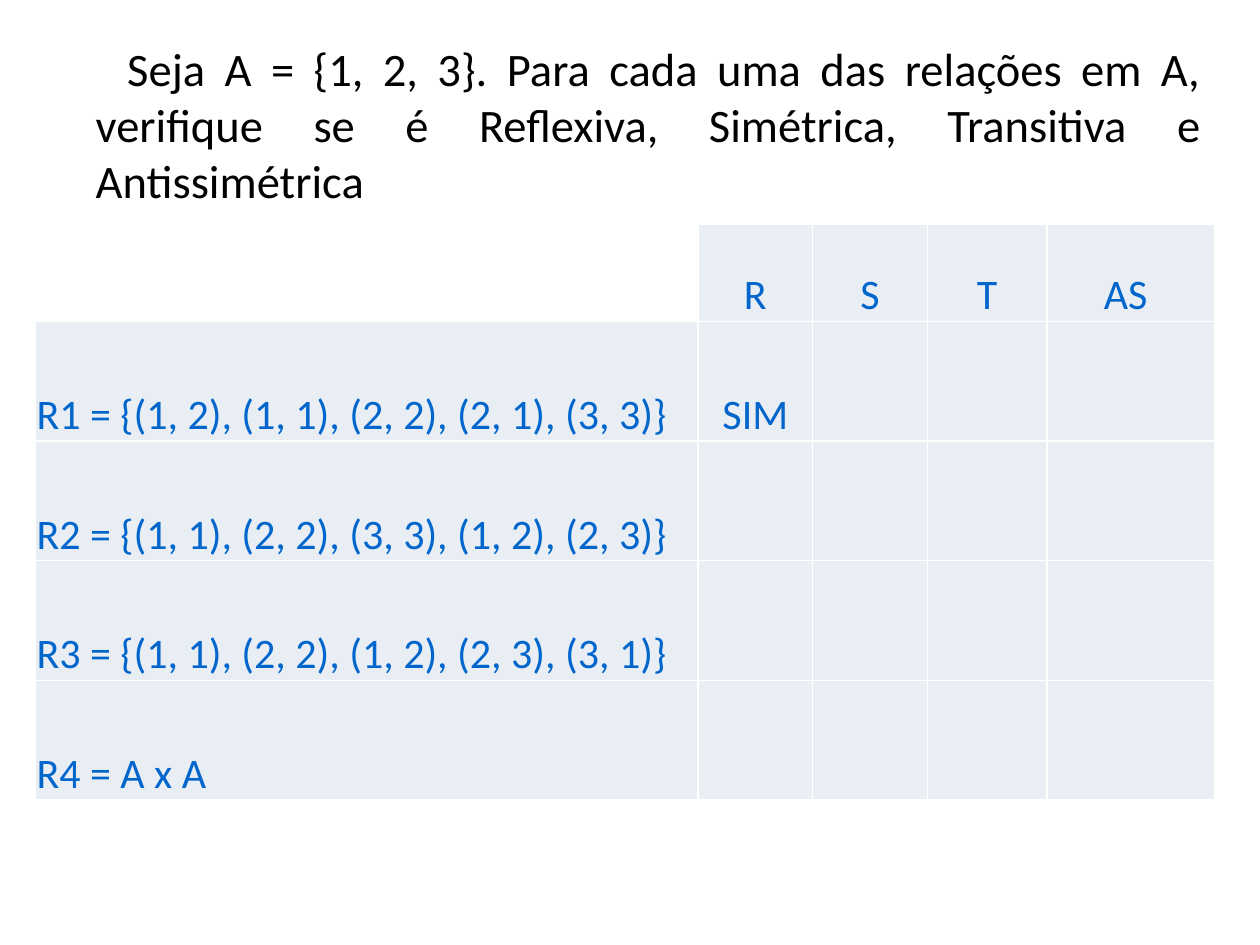
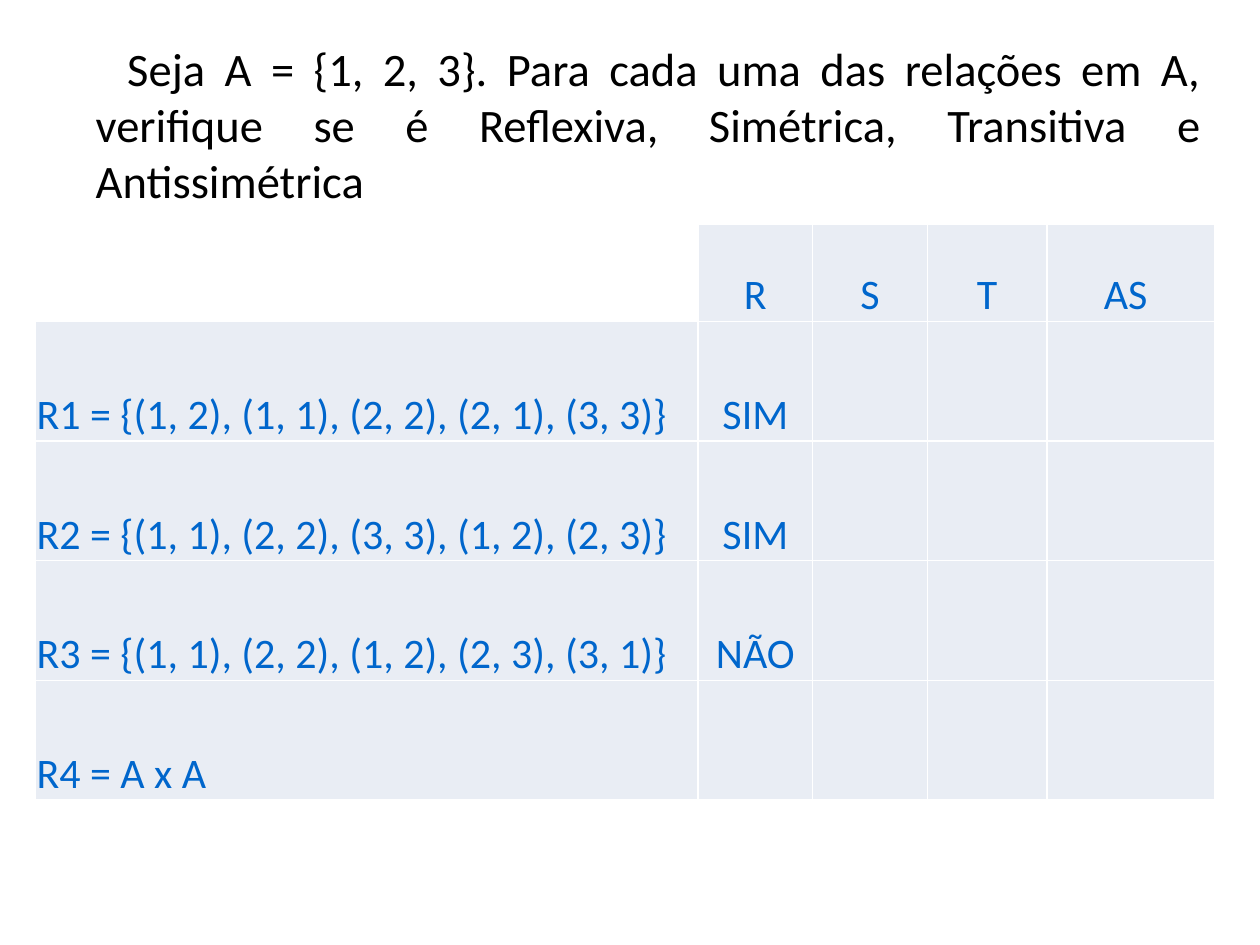
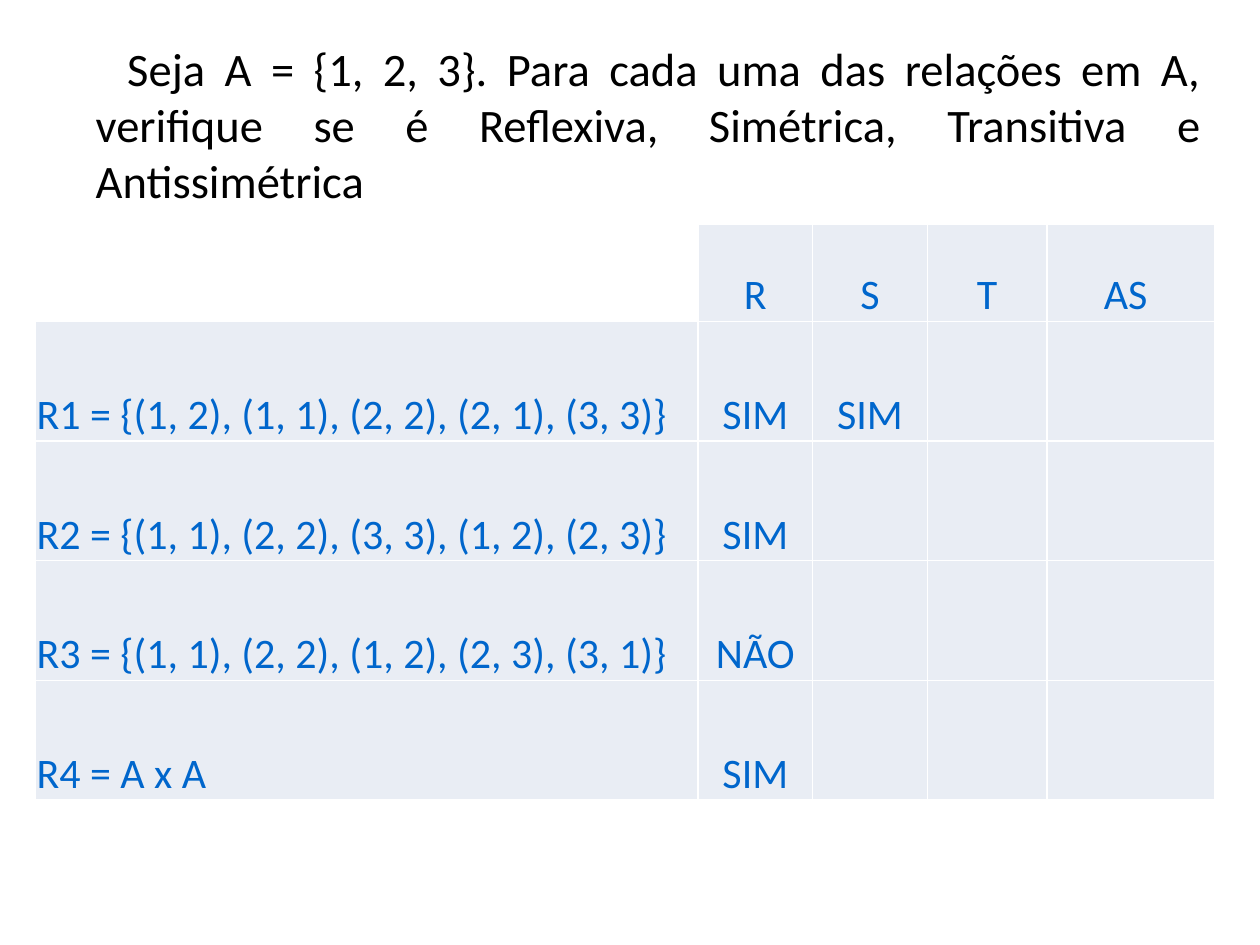
"""Build three slides that fill in a table of relation properties step by step."""
import dataclasses

import lxml.etree
import pptx
import pptx.dml.color
import pptx.enum.text
import pptx.oxml.ns
import pptx.util


@dataclasses.dataclass(frozen=True)
class Theme:
    font: str = "Calibri"
    ink: str = "000000"
    accent: str = "0066CC"
    band: str = "E9EDF4"
    paper: str = "FFFFFF"
    question_size: float = 26.6
    table_size: float = 24


theme = Theme()
ALIGN = pptx.enum.text.PP_ALIGN
ANCHOR = pptx.enum.text.MSO_ANCHOR
Inches = pptx.util.Inches
Pt = pptx.util.Pt
qn = pptx.oxml.ns.qn


def write(frame, text, *, size, color, align, left=0.0, first=0.0):
    """Fill a text frame with one unbulleted paragraph in the given format."""
    paragraph = frame.paragraphs[0]
    properties = paragraph._p.get_or_add_pPr()
    properties.set("marL", str(Inches(left)))
    properties.set("indent", str(Inches(first)))
    lxml.etree.SubElement(properties, qn("a:buNone"))
    paragraph.alignment = align
    paragraph.space_before = Pt(0)
    run = paragraph.add_run()
    run.text = text
    run.font.name = theme.font
    run.font.size = Pt(size)
    run.font.color.rgb = pptx.dml.color.RGBColor.from_string(color)


def style_cell(cell, fill):
    """Give a cell thin white borders, a flat fill and tight bottom-set text."""
    properties = cell._tc.get_or_add_tcPr()
    for side in ("lnL", "lnR", "lnT", "lnB"):
        border = lxml.etree.SubElement(properties, qn(f"a:{side}"), w=str(Pt(1)))
        paint = lxml.etree.SubElement(border, qn("a:solidFill"))
        lxml.etree.SubElement(paint, qn("a:srgbClr"), val=theme.paper)
    cell.fill.solid()
    cell.fill.fore_color.rgb = pptx.dml.color.RGBColor.from_string(fill)
    cell.vertical_anchor = ANCHOR.BOTTOM
    cell.margin_left = cell.margin_right = cell.margin_top = Inches(0.01)
    cell.margin_bottom = 0


question = ("Seja A = {1, 2, 3}. Para cada uma das relações em A, verifique se é "
            "Reflexiva, Simétrica, Transitiva e Antissimétrica")
properties_header = ["", "R", "S", "T", "AS"]
relations = [
    "R1 = {(1, 2), (1, 1), (2, 2), (2, 1), (3, 3)}",
    "R2 = {(1, 1), (2, 2), (3, 3), (1, 2), (2, 3)}",
    "R3 = {(1, 1), (2, 2), (1, 2), (2, 3), (3, 1)}",
    "R4 = A x A",
]
answer_steps = [
    [["SIM"], [], [], []],
    [["SIM"], ["SIM"], ["NÃO"], []],
    [["SIM", "SIM"], ["SIM"], ["NÃO"], ["SIM"]],
]
column_widths = [5.26, 0.91, 0.91, 0.95, 1.33]
row_heights = [0.77] + [0.95] * len(relations)

presentation = pptx.Presentation()
presentation.slide_width = Inches(10)
presentation.slide_height = Inches(7.5)
margin = Inches(0.28)
content_width = Inches(sum(column_widths))

for answers in answer_steps:
    slide = presentation.slides.add_slide(presentation.slide_layouts[1])
    heading = slide.shapes.title
    heading.element.getparent().remove(heading.element)

    statement = slide.placeholders[1]
    statement.left, statement.top = margin, Inches(0.23)
    statement.width, statement.height = content_width, Inches(1.7)
    statement.text_frame.auto_size = pptx.enum.text.MSO_AUTO_SIZE.NONE
    statement.text_frame.margin_top = Inches(0.09)
    write(statement.text_frame, question, size=theme.question_size, color=theme.ink,
          align=ALIGN.JUSTIFY, left=0.38, first=0.25)

    relation_table = slide.shapes.add_table(
        len(row_heights), len(column_widths), margin, Inches(1.78),
        content_width, Inches(sum(row_heights))).table
    relation_table.first_row = relation_table.horz_banding = False
    for column, width in zip(relation_table.columns, column_widths):
        column.width = Inches(width)
    for row, height in zip(relation_table.rows, row_heights):
        row.height = Inches(height)

    entries = [properties_header] + [[name] + marks for name, marks in zip(relations, answers)]
    for row_index, row_entries in enumerate(entries):
        for column_index in range(len(column_widths)):
            cell = relation_table.cell(row_index, column_index)
            style_cell(cell, theme.band if row_index or column_index else theme.paper)
            if column_index < len(row_entries) and row_entries[column_index]:
                write(cell.text_frame, row_entries[column_index], size=theme.table_size,
                      color=theme.accent, align=ALIGN.CENTER if column_index else ALIGN.LEFT)
    relation_table.cell(0, len(column_widths) - 1).margin_right = Inches(0.09)

presentation.save("out.pptx")
